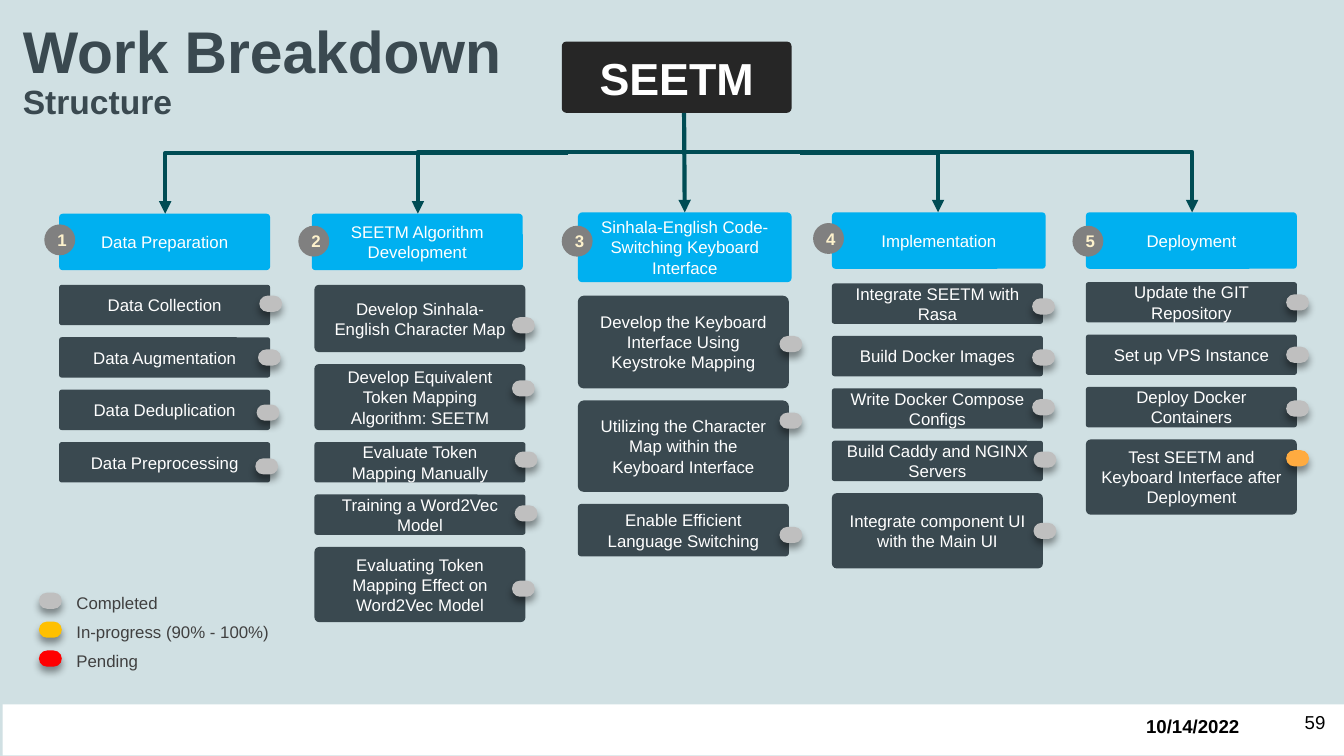
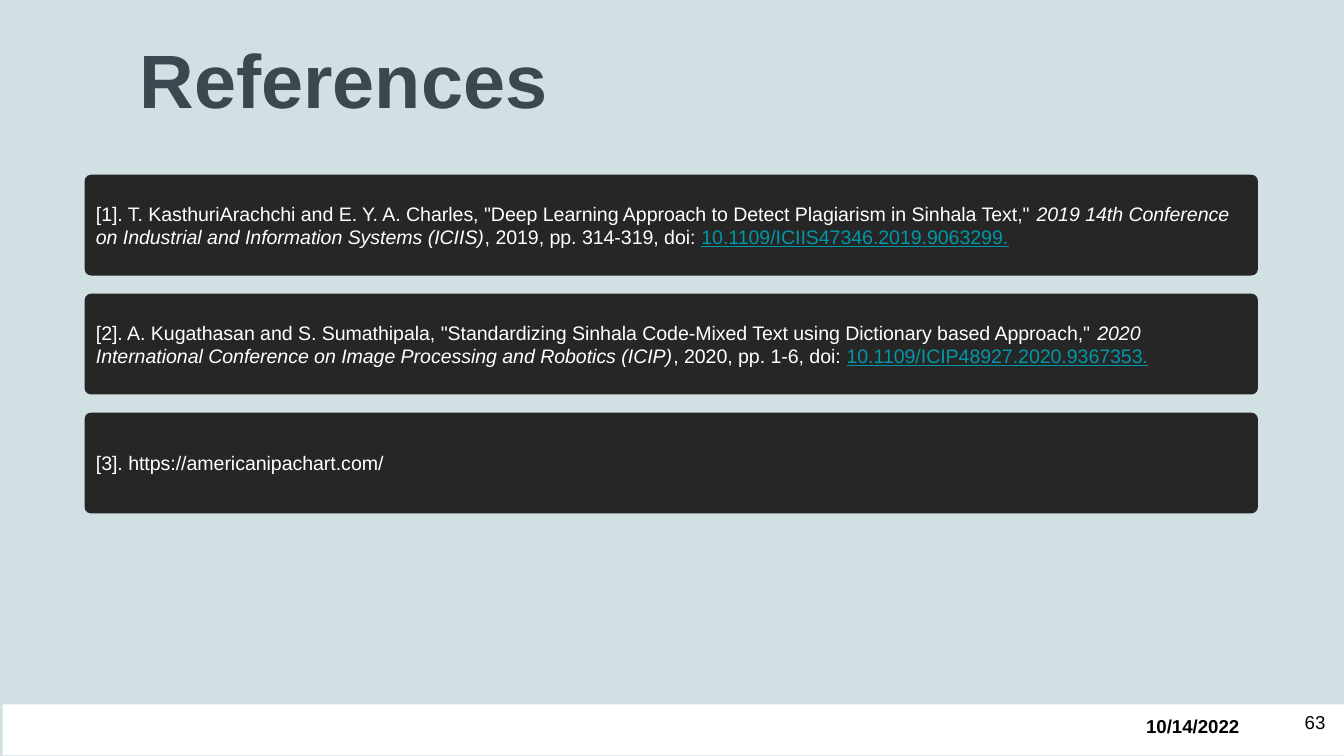
"""Build a work breakdown slide and a references slide."""
from lxml import etree
from pptx import Presentation
from pptx import util as u
from pptx.dml import color
from pptx.enum import shapes as kinds, text
from pptx.oxml import ns

FONT = "Arial"
COLORS = {
    "background": "D0E0E3", "white": "FFFFFF", "black": "000000",
    "slate": "3A4950", "charcoal": "262626", "header": "00B0F0",
    "badge": "808080", "badge_text": "FEF2CC", "connector": "004C54",
    "completed": "BFBFBF", "testing": "FFAB40", "progress": "FFC000",
    "pending": "FF0000", "legend_text": "404040", "doi": "0097A7",
}
WIDE, NARROW = (0.1, 0.05), (0.07, 0.04)
LAMP_SIZE = (0.17, 0.12)
TASK_WIDTH, TASK_GAP = 1.57, 0.09
LEFT, CENTER, RIGHT = (text.PP_ALIGN.LEFT, text.PP_ALIGN.CENTER,
                       text.PP_ALIGN.RIGHT)
ROUNDED = kinds.MSO_SHAPE.ROUNDED_RECTANGLE

COLUMNS = [
    ("Data Preparation", (0.44, 1.59, 1.57, 0.42), (-0.11, 0.08), (0.44, 2.12), [
        ("Data Collection", 0.3, (1.49, 0.08), "completed"),
        ("Data Augmentation", 0.3, (1.48, 0.09), "completed"),
        ("Data Deduplication", 0.3, (1.47, 0.11), "completed"),
        ("Data Preprocessing", 0.3, (1.46, 0.12), "completed"),
    ]),
    ("SEETM Algorithm Development", (2.32, 1.59, 1.57, 0.42), (-0.1, 0.09), (2.34, 2.12), [
        ("Develop Sinhala-English Character Map", 0.5, (1.47, 0.24), "completed"),
        ("Develop Equivalent Token Mapping Algorithm: SEETM", 0.49, (1.47, 0.12), "completed"),
        ("Evaluate Token Mapping Manually", 0.3, (1.49, 0.07), "completed"),
        ("Training a Word2Vec Model", 0.3, (1.49, 0.08), "completed"),
        ("Evaluating Token Mapping Effect on Word2Vec Model", 0.56, (1.47, 0.25), "completed"),
    ]),
    ("Sinhala-English Code-Switching Keyboard Interface",
     (4.3, 1.58, 1.59, 0.52), (-0.12, 0.1), (4.3, 2.2), [
        ("Develop the Keyboard Interface Using Keystroke Mapping", 0.69, (1.5, 0.3), "completed"),
        ("Utilizing the Character Map within the Keyboard Interface", 0.68, (1.5, 0.09), "completed"),
        ("Enable Efficient Language Switching", 0.39, (1.5, 0.17), "completed"),
     ]),
    ("Implementation", (6.19, 1.58, 1.59, 0.42), (-0.14, 0.08), (6.19, 2.11), [
        ("Integrate SEETM with Rasa", 0.3, (1.49, 0.11), "completed"),
        ("Build Docker Images", 0.3, (1.49, 0.1), "completed"),
        ("Write Docker Compose Configs", 0.3, (1.49, 0.08), "completed"),
        ("Build Caddy and NGINX Servers", 0.3, (1.5, 0.08), "completed"),
        ("Integrate component UI with the Main UI", 0.56, (1.5, 0.22), "completed"),
    ]),
    ("Deployment", (8.08, 1.58, 1.57, 0.42), (-0.1, 0.1), (8.08, 2.1), [
        ("Update the GIT Repository", 0.3, (1.49, 0.09), "completed"),
        ("Set up VPS Instance", 0.3, (1.49, 0.09), "completed"),
        ("Deploy Docker Containers", 0.3, (1.49, 0.1), "completed"),
        ("Test SEETM and Keyboard Interface after Deployment", 0.56, (1.49, 0.08), "testing"),
    ]),
]
BRANCHES = [
    ((4.23, 1.14), (1.23, 1.59)),
    ((5.03, 1.13), (3.11, 1.59)),
    ((4.97, 1.13), (8.87, 1.58)),
    ((5.95, 1.14), (6.98, 1.58)),
]
LEGEND = [("Completed", "completed"), ("In-progress (90% - 100%)", "progress"),
          ("Pending", "pending")]
REFERENCES = [
    [('[1]. T. KasthuriArachchi and E. Y. A. Charles, "Deep Learning Approach to '
      'Detect Plagiarism in Sinhala Text," ', None),
     ("2019 14th Conference on Industrial and Information Systems (ICIIS)", "venue"),
     (", 2019, pp. 314-319, doi: ", None),
     ("10.1109/ICIIS47346.2019.9063299.", "doi")],
    [('[2]. A. Kugathasan and S. Sumathipala, "Standardizing Sinhala Code-Mixed '
      'Text using Dictionary based Approach," ', None),
     ("2020 International Conference on Image Processing and Robotics (ICIP)", "venue"),
     (", 2020, pp. 1-6, doi: ", None),
     ("10.1109/ICIP48927.2020.9367353.", "doi")],
    [("[3]. https://americanipachart.com/", None)],
]


def rgb(name):
    """Return the named color."""
    return color.RGBColor.from_string(COLORS[name])


def set_frame(shape, insets, anchor):
    """Set wrapping, insets and anchor of a shape's text and return its frame."""
    frame = shape.text_frame
    frame.word_wrap = True
    frame.margin_left = frame.margin_right = u.Inches(insets[0])
    frame.margin_top = frame.margin_bottom = u.Inches(insets[1])
    frame.vertical_anchor = anchor
    return frame


def set_font(paragraph, size, color_name, bold=False, align=LEFT):
    """Set the font and alignment of a whole paragraph."""
    paragraph.alignment = align
    font = paragraph.font
    font.name, font.size, font.bold = FONT, u.Pt(size), bold
    font.color.rgb = rgb(color_name)


def add_label(shapes, box, words, size, color_name, bold=False, align=LEFT,
              insets=WIDE, anchor=text.MSO_ANCHOR.TOP):
    """Add a text box with one paragraph for each line of words."""
    label = shapes.add_textbox(*map(u.Inches, box))
    frame = set_frame(label, insets, anchor)
    frame.text = words
    for paragraph in frame.paragraphs:
        set_font(paragraph, size, color_name, bold, align)
    return frame


def add_block(shapes, kind, box, fill, adjustment=None):
    """Add a plain filled shape without line or shadow."""
    block = shapes.add_shape(kind, *map(u.Inches, box))
    block.shadow.inherit = False
    block.fill.solid()
    block.fill.fore_color.rgb = rgb(fill)
    block.line.fill.background()
    if adjustment is not None:
        block.adjustments[0] = adjustment
    return block


def add_card(shapes, box, fill, words, size=9, color_name="white", bold=False,
             kind=ROUNDED, insets=WIDE):
    """Add a filled shape with one centered paragraph."""
    card = add_block(shapes, kind, box, fill, 0.064 if kind == ROUNDED else None)
    frame = set_frame(card, insets, text.MSO_ANCHOR.MIDDLE)
    frame.text = words
    set_font(frame.paragraphs[0], size, color_name, bold, CENTER)
    return card


def add_lamp(shapes, left, top, status):
    """Add a status lamp with a soft shadow below it."""
    lamp = add_block(shapes, ROUNDED, (left, top, *LAMP_SIZE), status, 0.5)
    effects = lamp.element.spPr.find(ns.qn("a:effectLst"))
    shadow = etree.SubElement(effects, ns.qn("a:outerShdw"), blurRad=str(u.Pt(4)),
                              dist=str(u.Pt(3)), dir="5400000", rotWithShape="0")
    tint = etree.SubElement(shadow, ns.qn("a:srgbClr"), val=COLORS["black"])
    etree.SubElement(tint, ns.qn("a:alpha"), val="40000")


def add_arrow(shapes, start, end, bent=False):
    """Add an arrow that is straight or turns one corner."""
    kind = kinds.MSO_CONNECTOR.ELBOW if bent else kinds.MSO_CONNECTOR.STRAIGHT
    arrow = shapes.add_connector(kind, *map(u.Inches, (*start, *end)))
    arrow.line.color.rgb = rgb("connector")
    arrow.line.width = u.Pt(2.25)
    properties = arrow.element.spPr
    if bent:
        properties.find(ns.qn("a:prstGeom")).set("prst", "bentConnector2")
    etree.SubElement(properties.find(ns.qn("a:ln")), ns.qn("a:tailEnd"), type="triangle")
    etree.SubElement(properties, ns.qn("a:effectLst"))
    return arrow


def add_column(shapes, title, header_box, badge_offset, tasks_corner, tasks, number):
    """Add a numbered header and its stack of tasks, and return the header."""
    header = add_card(shapes, header_box, "header", title)
    badge_box = (header_box[0] + badge_offset[0], header_box[1] + badge_offset[1],
                 0.23, 0.23)
    add_card(shapes, badge_box, "badge", str(number), 9, "badge_text", True,
             kinds.MSO_SHAPE.OVAL)
    left, top = tasks_corner
    for words, height, (lamp_x, lamp_y), status in tasks:
        add_card(shapes, (left, top, TASK_WIDTH, height), "slate", words)
        add_lamp(shapes, left + lamp_x, top + lamp_y, status)
        top += height + TASK_GAP
    return header


def add_legend(shapes, left, top):
    """Add the grouped key to the status lamps."""
    group = shapes.add_group_shape().shapes
    for index, (words, status) in enumerate(LEGEND):
        row_top = top + 0.43 / 2 * index
        add_lamp(group, left, row_top + 0.05, status)
        add_label(group, (left + 0.18, row_top, 2.71, 0.25), words, 9, "legend_text")


def add_base_slide(presentation, number):
    """Add a slide with the footer band, date and slide number."""
    slide = presentation.slides.add_slide(presentation.slide_layouts[6])
    add_block(slide.shapes, kinds.MSO_SHAPE.RECTANGLE, (0.02, 5.24, 9.98, 0.38), "white")
    add_label(slide.shapes, (8.43, 5.27, 0.96, 0.27), "10/14/2022", 10, "black", True)
    add_label(slide.shapes, (9.36, 5.13, 0.6, 0.49), str(number), 10, "black",
              align=RIGHT, insets=(0.1, 0.1), anchor=text.MSO_ANCHOR.MIDDLE)
    return slide


def add_title(shapes, box, words, size, insets):
    """Add a bold title set on the bottom of its box."""
    return add_label(shapes, box, words, size, "slate", True, insets=insets,
                     anchor=text.MSO_ANCHOR.BOTTOM)


def add_breakdown_slide(presentation):
    """Add the work breakdown slide."""
    shapes = add_base_slide(presentation, 59).shapes
    title = add_title(shapes, (0.1, 0.11, 4.51, 0.84), "Work Breakdown\nStructure",
                      31.5, NARROW)
    title.paragraphs[1].font.size = u.Pt(18)
    for paragraph in title.paragraphs:
        paragraph.line_spacing = 0.9
    add_card(shapes, (4.18, 0.31, 1.71, 0.53), "charcoal", "SEETM", 24, bold=True,
             insets=NARROW)
    headers = [add_column(shapes, *column, number)
               for number, column in enumerate(COLUMNS, 1)]
    for start, end in BRANCHES:
        add_arrow(shapes, start, end, bent=True)
    add_arrow(shapes, (5.09, 0.84), (5.08, 1.58)).end_connect(headers[2], 0)
    add_legend(shapes, 0.29, 4.36)


def add_reference(shapes, box, parts):
    """Add a dark card with one reference."""
    card = add_block(shapes, ROUNDED, box, "charcoal", 0.064)
    paragraph = set_frame(card, NARROW, text.MSO_ANCHOR.MIDDLE).paragraphs[0]
    set_font(paragraph, 10.5, "white")
    for words, style in parts:
        run = paragraph.add_run()
        run.text = words
        if style == "venue":
            run.font.italic = True
        elif style == "doi":
            run.font.underline = True
            run.font.color.rgb = rgb("doi")


def add_references_slide(presentation):
    """Add the references slide."""
    shapes = add_base_slide(presentation, 63).shapes
    add_title(shapes, (0.94, 0.26, 6.78, 0.76), "References", 40.5, (0.1, 0.1))
    for index, parts in enumerate(REFERENCES):
        add_reference(shapes, (0.63, 1.3 + 1.77 / 2 * index, 8.73, 0.75), parts)


def main():
    """Build and save the presentation."""
    presentation = Presentation()
    presentation.slide_width = u.Inches(10)
    presentation.slide_height = u.Inches(10 * 9 / 16)
    background = presentation.slide_master.background.fill
    background.solid()
    background.fore_color.rgb = rgb("background")
    add_breakdown_slide(presentation)
    add_references_slide(presentation)
    presentation.save("out.pptx")


if __name__ == "__main__":
    main()
